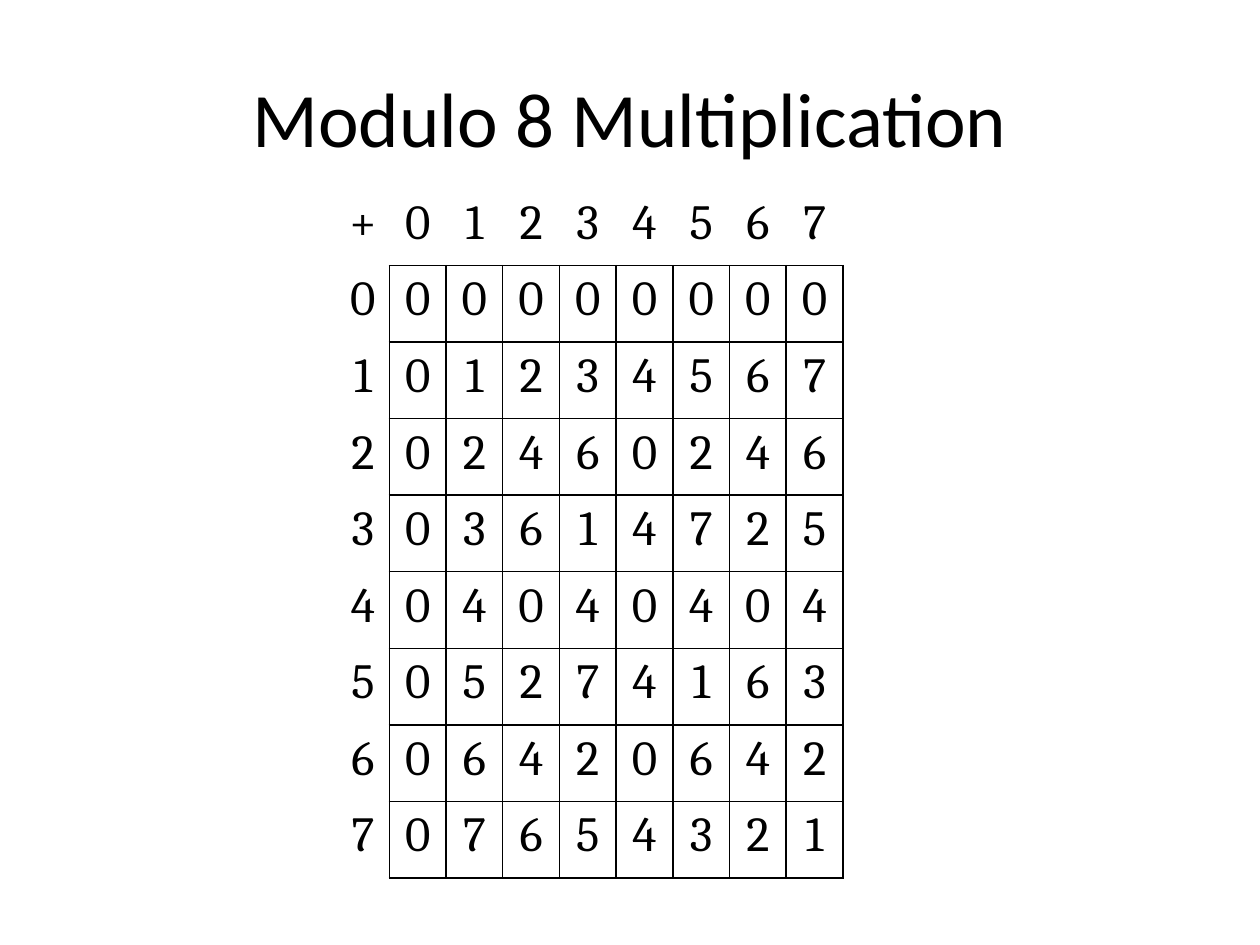
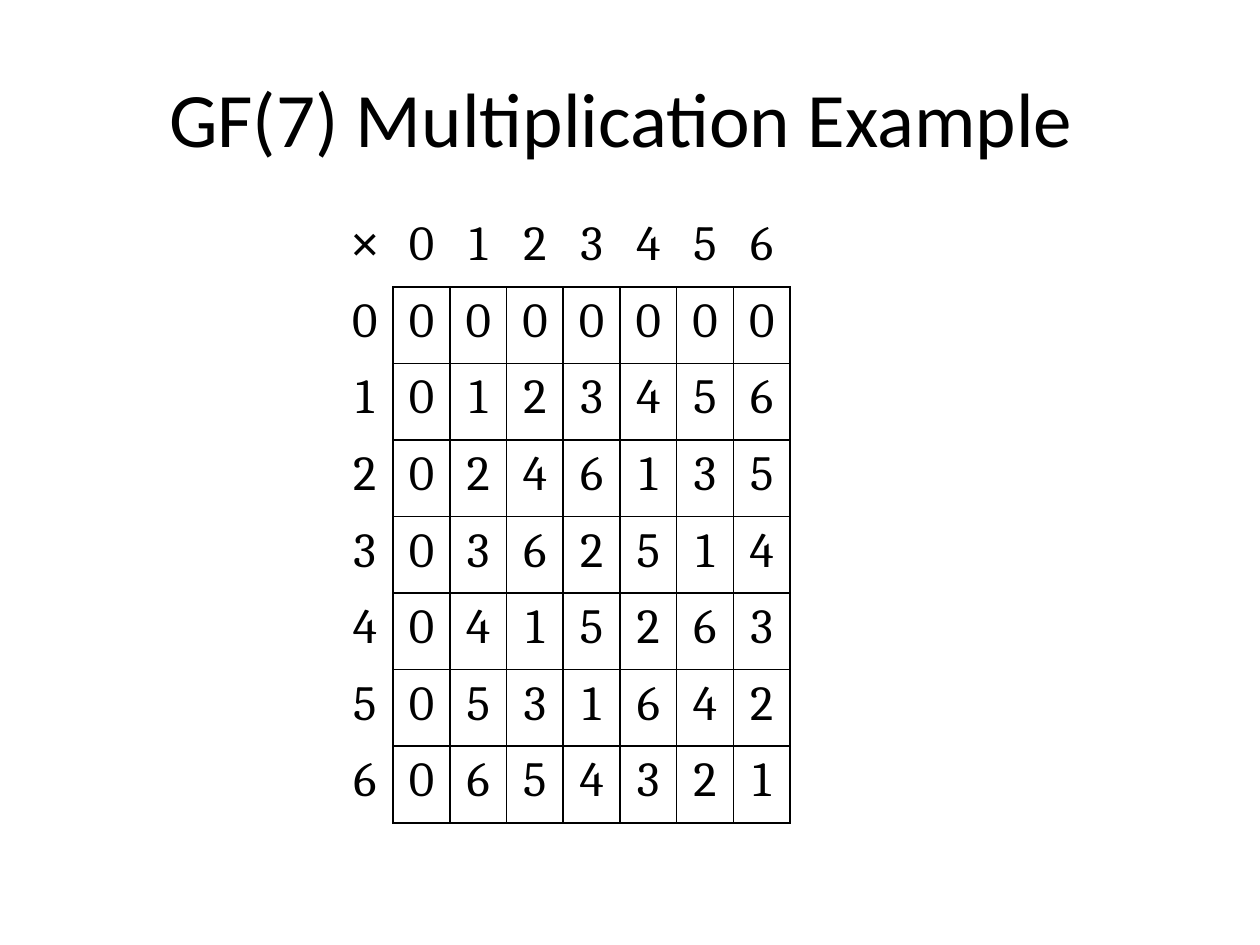
from pptx import Presentation
from pptx.dml.color import RGBColor
from pptx.enum.text import MSO_ANCHOR, PP_ALIGN
from pptx.oxml import parse_xml
from pptx.oxml.ns import nsdecls
from pptx.util import Inches, Pt

MIDDLE = MSO_ANCHOR.MIDDLE
CENTER = PP_ALIGN.CENTER

INK = "000000"
TITLE = {"name": "Calibri", "size": Pt(44)}
DIGIT = {"name": "Cambria", "size": Pt(28)}
TITLE_BOX = (0.5, 0.3, 9, 1.25)
LEFT, COL = 2.67, 0.45

SLIDES = [
    {"title": "Modulo 8 Multiplication", "mod": 8, "sign": "+",
     "font": "Cambria", "top": 1.5, "height": 5.47, "first": 0.42},
    # The closing space shifts the centred title slightly to the left.
    {"title": "GF(7) Multiplication Example ", "mod": 7, "sign": "×",
     "font": "Arial", "top": 1.67, "height": 4.86, "first": COL},
]


def rgb(code):
    return RGBColor.from_string(code)


def write(para, text, style):
    para.alignment = CENTER
    run = para.add_run()
    run.text = text
    for key, value in style.items():
        setattr(run.font, key, value)
    run.font.color.rgb = rgb(INK)


def add_title(slide, text):
    box = slide.shapes.add_textbox(*map(Inches, TITLE_BOX))
    frame = box.text_frame
    frame.word_wrap = True
    frame.vertical_anchor = MIDDLE
    write(frame.paragraphs[0], text, TITLE)


def set_edges(cell, shown):
    """Draw the sides named in shown (L, R, T, B) and clear the others."""
    props = cell._tc.get_or_add_tcPr()
    for side in "LRTB":
        fill = (f'<a:solidFill><a:srgbClr val="{INK}"/></a:solidFill>'
                if side in shown else "<a:noFill/>")
        props.append(parse_xml(
            f'<a:ln{side} {nsdecls("a")} w="{Pt(1)}">{fill}</a:ln{side}>'))


def product_rows(mod, sign):
    """Return the header row, then each factor with its products."""
    nums = range(mod)
    return [[sign, *nums]] + [[a, *(a * b % mod for b in nums)] for a in nums]


def edges(row, col):
    """Box the products; header cells only touch the box."""
    if row and col:
        return "LRTB"
    if row:
        return "R"
    return "B" if col else ""


def add_grid(slide, data):
    rows = product_rows(data["mod"], data["sign"])
    count = len(rows)
    widths = [data["first"]] + [COL] * data["mod"]
    table = slide.shapes.add_table(
        count, count, Inches(LEFT), Inches(data["top"]),
        Inches(sum(widths)), Inches(data["height"])).table
    table.first_row = table.horz_banding = False
    for col, width in zip(table.columns, widths):
        col.width = Inches(width)
    for r, row in enumerate(rows):
        for c, value in enumerate(row):
            cell = table.cell(r, c)
            set_edges(cell, edges(r, c))
            cell.fill.background()
            para = cell.text_frame.paragraphs[0]
            para.space_after = Pt(3)
            corner = r == c == 0
            style = {**DIGIT, "name": data["font"]} if corner else DIGIT
            write(para, str(value), style)


def main():
    deck = Presentation()
    deck.slide_width, deck.slide_height = Inches(10), Inches(7.5)
    for data in SLIDES:
        slide = deck.slides.add_slide(deck.slide_layouts[6])
        add_title(slide, data["title"])
        add_grid(slide, data)
    deck.save("out.pptx")


if __name__ == "__main__":
    main()
